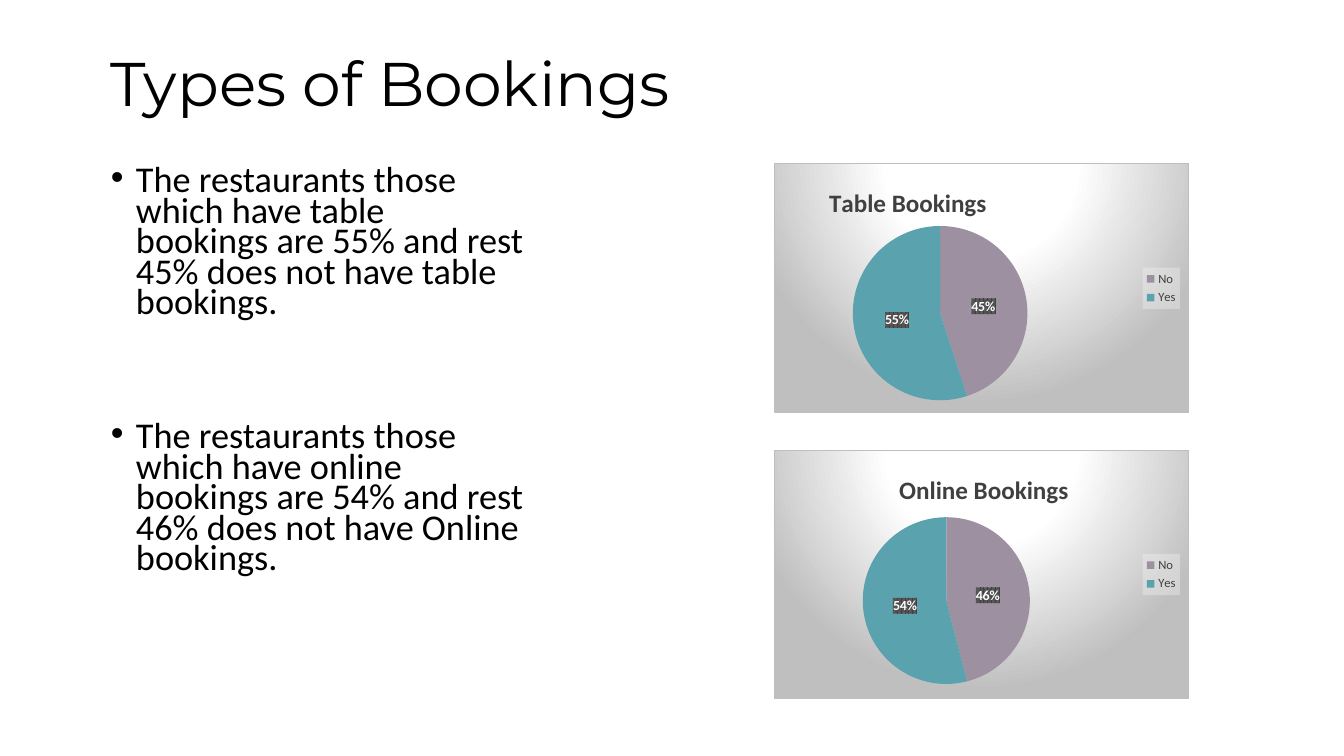
from lxml import etree
from pptx import Presentation
from pptx.chart.data import CategoryChartData
from pptx.dml.color import RGBColor
from pptx.enum.chart import XL_CHART_TYPE, XL_LABEL_POSITION, XL_LEGEND_POSITION
from pptx.enum.text import MSO_ANCHOR
from pptx.oxml import parse_xml
from pptx.oxml.ns import nsdecls, qn
from pptx.util import Inches, Pt

TITLE = "Types of Bookings"
BULLETS = [
    "The restaurants those which have table bookings are 55% and rest 45% does not have table bookings.",
    "The restaurants those which have online bookings are 54% and rest 46% does not have Online bookings.",
]
CATEGORIES = ["No", "Yes"]
CHARTS = [
    ("Table Bookings", (45, 55), (0.12, 0.07), (0.03, 0.25, 0.74, 0.7)),
    ("Online Bookings", (46, 54), (0.29, 0.07), (0.04, 0.27, 0.75, 0.67)),
]
CHART_LEFT, CHART_TOP, CHART_WIDTH, CHART_HEIGHT, CHART_STEP = 7.68, 1.62, 4.11, 2.48, 2.84
BLACK = RGBColor(0x00, 0x00, 0x00)
WHITE = RGBColor(0xFF, 0xFF, 0xFF)
DARK = RGBColor(0x40, 0x40, 0x40)
SLICE_COLORS = [RGBColor(0x9D, 0x90, 0xA0), RGBColor(0x5A, 0xA2, 0xAE)]

CHART_FILL = """<a:gradFill><a:gsLst>
<a:gs pos="0"><a:srgbClr val="FFFFFF"/></a:gs>
<a:gs pos="39000"><a:srgbClr val="FFFFFF"/></a:gs>
<a:gs pos="100000"><a:srgbClr val="BFBFBF"/></a:gs></a:gsLst>
<a:path path="circle"><a:fillToRect l="50000" t="-80000" r="50000" b="180000"/></a:path></a:gradFill>
<a:ln w="9525"><a:solidFill><a:srgbClr val="BFBFBF"/></a:solidFill></a:ln>"""
LABEL_FILL = """<a:pattFill prst="pct75"><a:fgClr><a:srgbClr val="404040"/></a:fgClr>
<a:bgClr><a:srgbClr val="595959"/></a:bgClr></a:pattFill><a:ln><a:noFill/></a:ln>"""
LEGEND_FILL = """<a:solidFill><a:srgbClr val="F2F2F2"><a:alpha val="39000"/></a:srgbClr></a:solidFill>
<a:ln><a:noFill/></a:ln>"""


def style_font(font, size, color, name="Calibri", bold=False):
    font.size, font.name, font.bold = Pt(size), name, bold
    font.color.rgb = color


def shape_properties(content):
    return parse_xml(f'<c:spPr {nsdecls("c", "a")}>{content}</c:spPr>')


def manual_layout(values, inner=False):
    layout = parse_xml(f'<c:layout {nsdecls("c")}><c:manualLayout/></c:layout>')
    settings = [("layoutTarget", "inner")] if inner else []
    settings += [("xMode", "edge"), ("yMode", "edge")] + list(zip("xywh", values))
    for tag, value in settings:
        etree.SubElement(layout[0], qn(f"c:{tag}")).set("val", str(value))
    return layout


def replace_layout(parent, index, layout):
    for existing in parent.findall(qn("c:layout")):
        parent.remove(existing)
    parent.insert(index, layout)


def add_text_box(slide, left, top, width, height):
    frame = slide.shapes.add_textbox(*map(Inches, (left, top, width, height))).text_frame
    frame.word_wrap = True
    return frame


def add_run(paragraph, text, size, color, name="Calibri", bold=False):
    run = paragraph.add_run()
    run.text = text
    style_font(run.font, size, color, name, bold)


def add_pie(slide, top, title, values, title_position, plot_area):
    data = CategoryChartData()
    data.categories = CATEGORIES
    data.add_series("Series 1", values)
    chart = slide.shapes.add_chart(
        XL_CHART_TYPE.PIE, Inches(CHART_LEFT), Inches(top),
        Inches(CHART_WIDTH), Inches(CHART_HEIGHT), data).chart
    style_font(chart.font, 10, BLACK)
    chart.has_title = True
    add_run(chart.chart_title.text_frame.paragraphs[0], title, 18, DARK, bold=True)
    chart.chart_title.include_in_layout = False
    title_element = chart._chartSpace.chart.find(qn("c:title"))
    replace_layout(title_element, 1, manual_layout(title_position))
    replace_layout(chart._chartSpace.chart.plotArea, 0, manual_layout(plot_area, True))

    chart.has_legend = True
    legend = chart.legend
    legend.position = XL_LEGEND_POSITION.RIGHT
    legend.include_in_layout = False
    style_font(legend.font, 9, DARK)
    legend._element.find(qn("c:txPr")).addprevious(shape_properties(LEGEND_FILL))

    plot = chart.plots[0]
    plot.vary_by_categories = True
    series = plot.series[0]
    for index, color in enumerate(SLICE_COLORS):
        slice_format = series.points[index].format
        slice_format.fill.solid()
        slice_format.fill.fore_color.rgb = color
        slice_format.line.fill.background()
    labels = series.data_labels
    labels.show_value = False
    labels.show_percentage = True
    labels.number_format, labels.number_format_is_linked = "0%", False
    labels.position = XL_LABEL_POSITION.CENTER
    style_font(labels.font, 10, WHITE, bold=True)
    labels._element.find(qn("c:txPr")).addprevious(shape_properties(LABEL_FILL))
    chart._chartSpace.chart.addnext(shape_properties(CHART_FILL))


def main():
    presentation = Presentation()
    presentation.slide_width, presentation.slide_height = Inches(13.33), Inches(7.5)
    slide = presentation.slides.add_slide(presentation.slide_layouts[6])

    title_frame = add_text_box(slide, 1, 0.34, 11.33, 1.04)
    title_frame.vertical_anchor = MSO_ANCHOR.MIDDLE
    title_frame.paragraphs[0].line_spacing = 0.9
    add_run(title_frame.paragraphs[0], TITLE, 44, BLACK, "Montserrat")

    body_frame = add_text_box(slide, 1, 1.62, 4.29, 5.31)
    for index, text in enumerate(BULLETS):
        paragraph = body_frame.add_paragraph() if index else body_frame.paragraphs[0]
        properties = paragraph._p.get_or_add_pPr()
        properties.set("marL", str(Inches(0.25)))
        properties.set("indent", str(Inches(-0.25)))
        etree.SubElement(properties, qn("a:buFont")).set("typeface", "Arial")
        etree.SubElement(properties, qn("a:buChar")).set("char", "•")
        paragraph.line_spacing = 0.7
        paragraph.space_before = Pt(74 if index else 0)
        add_run(paragraph, text, 25.9, BLACK)

    for index, chart_content in enumerate(CHARTS):
        add_pie(slide, CHART_TOP + index * CHART_STEP, *chart_content)
    presentation.save("out.pptx")


if __name__ == "__main__":
    main()
